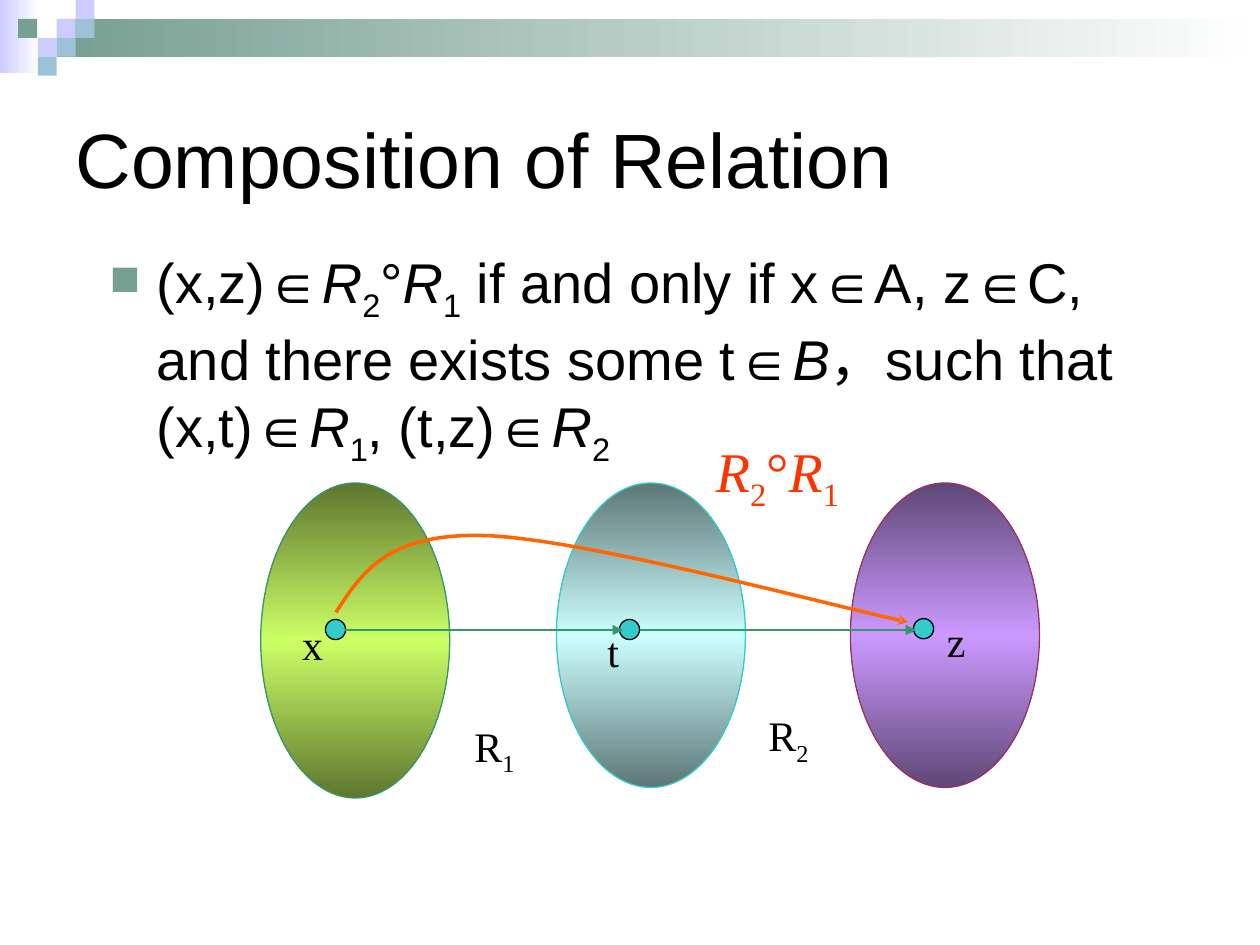
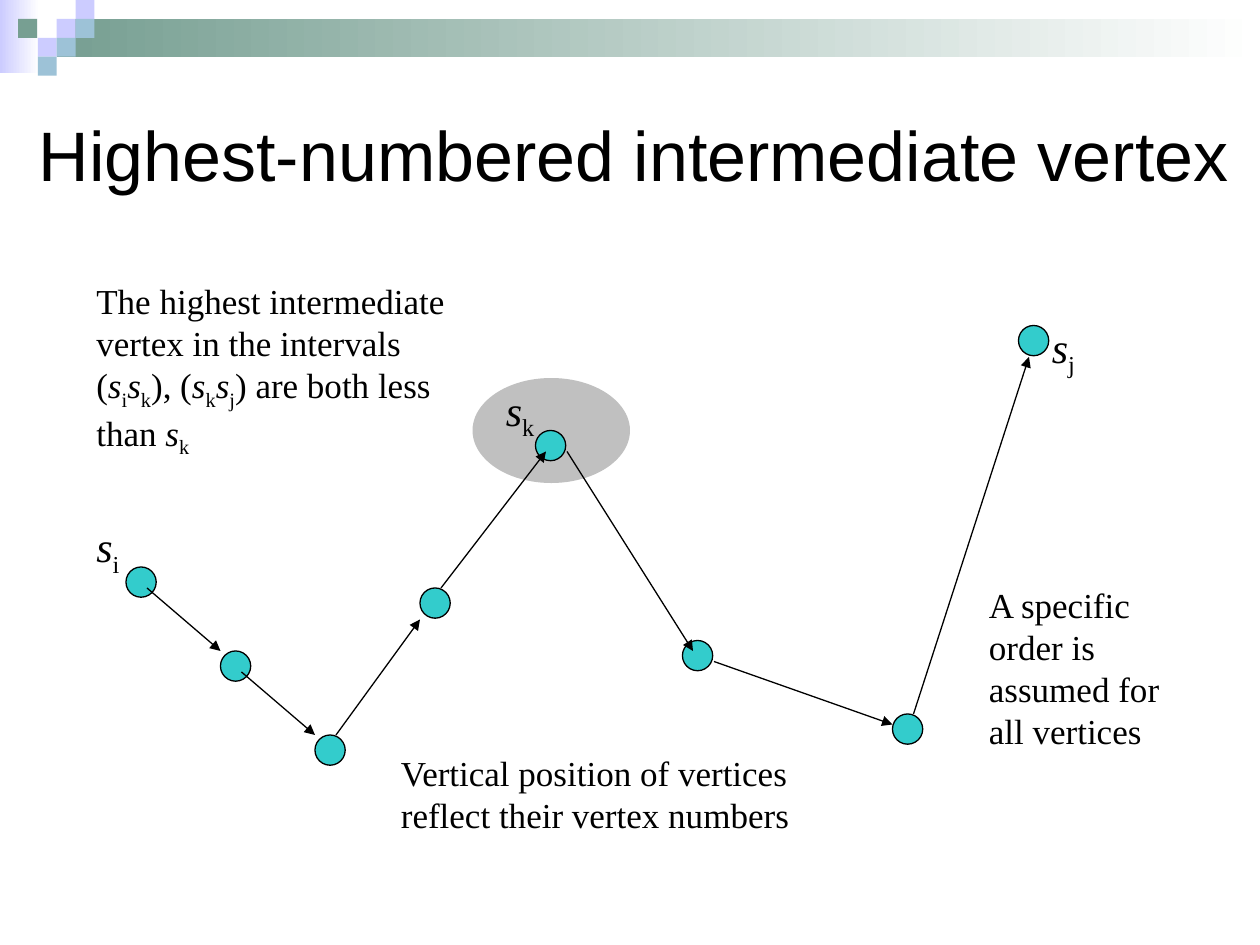
from copy import deepcopy

from pptx import Presentation
from pptx.dml.color import RGBColor
from pptx.enum.shapes import MSO_CONNECTOR as Line, MSO_SHAPE as Preset
from pptx.enum.text import MSO_ANCHOR as Anchor, PP_ALIGN as Align
from pptx.oxml.ns import qn
from pptx.oxml.xmlchemy import OxmlElement
from pptx.util import Pt

BLACK = RGBColor(0x00, 0x00, 0x00)
WHITE = RGBColor(0xFF, 0xFF, 0xFF)
SAGE = RGBColor(0x77, 0x9F, 0x92)
LAVENDER = RGBColor(0xCC, 0xCC, 0xFF)
SKY = RGBColor(0x9D, 0xC2, 0xD7)
TEAL = RGBColor(0x33, 0xCC, 0xCC)
GREEN = RGBColor(0x33, 0x99, 0x66)
PLUM = RGBColor(0x99, 0x33, 0x66)
ORANGE = RGBColor(0xFF, 0x66, 0x00)
RED = RGBColor(0xFF, 0x33, 0x00)
SILVER = RGBColor(0xC0, 0xC0, 0xC0)
OLIVE, LIME = RGBColor(0x5E, 0x76, 0x2F), RGBColor(0xCC, 0xFF, 0x66)
SLATE, ICE = RGBColor(0x5E, 0x76, 0x76), RGBColor(0xCC, 0xFF, 0xFF)
DUSK, VIOLET = RGBColor(0x5E, 0x47, 0x76), RGBColor(0xCC, 0x99, 0xFF)

SANS = "Arial"
SERIF = "Times New Roman"
TILE = 10.8
TILES = [
    (32.4, 10.8, LAVENDER), (43.2, 0, LAVENDER), (43.2, 10.8, SKY),
    (21.6, 21.6, LAVENDER), (10.4, 10.8, SAGE), (32.4, 21.6, SKY),
    (21.6, 32.4, SKY),
]


class SlideMaker:
    def __init__(self, deck):
        self.deck = deck
        self.page = None

    def start(self, title, left, top, width, height, size):
        self.page = self.deck.slides.add_slide(self.deck.slide_layouts[5])
        self.shape(Preset.RECTANGLE, 0, 0, 22.5, 42, [LAVENDER, WHITE])
        self.shape(Preset.RECTANGLE, 32.4, 10.8, 687.6, 21.6, [SAGE, WHITE])
        for x, y, color in TILES:
            self.shape(Preset.RECTANGLE, x, y, TILE, TILE, [color])
        box = self.page.shapes.title
        box.left, box.top, box.width, box.height = map(Pt, (left, top, width, height))
        box.text_frame.vertical_anchor = Anchor.MIDDLE
        self.add_spans(box.text_frame, title, size, SANS, BLACK)

    def shape(self, preset, left, top, width, height, colors, outline=None, angle=0):
        shape = self.page.shapes.add_shape(preset, *map(Pt, (left, top, width, height)))
        shape.shadow.inherit = False
        if len(colors) == 1:
            shape.fill.solid()
            shape.fill.fore_color.rgb = colors[0]
        else:
            self.blend(shape, colors, angle)
        if outline is None:
            shape.line.fill.background()
        else:
            self.stroke(shape, outline, 0.75)
        return shape

    def blend(self, shape, colors, angle):
        shape.fill.gradient()
        shape.fill.gradient_angle = angle
        stop_list = shape._element.spPr.find(".//" + qn("a:gsLst"))
        for _ in colors[2:]:
            stop_list.append(deepcopy(stop_list[0]))
        for index, (stop, color) in enumerate(zip(shape.fill.gradient_stops, colors)):
            stop.color.rgb = color
            stop.position = index / (len(colors) - 1)

    def ellipse(self, left, top, width, height, colors, outline=None):
        return self.shape(Preset.OVAL, left, top, width, height, colors, outline, 90)

    def dot(self, left, top, size):
        return self.ellipse(left, top, size, size, [TEAL], BLACK)

    def stroke(self, shape, color, weight, head=None):
        shape.line.color.rgb = color
        shape.line.width = Pt(weight)
        if head:
            tail = OxmlElement("a:tailEnd")
            tail.set("type", head)
            shape._element.spPr.find(qn("a:ln")).append(tail)

    def arrow(self, start, end, color, weight):
        arrow = self.page.shapes.add_connector(Line.STRAIGHT, *map(Pt, start + end))
        self.stroke(arrow, color, weight, "triangle")
        arrow._element.spPr.append(OxmlElement("a:effectLst"))

    def curve(self, points, color, weight):
        start, *rest = [(Pt(x), Pt(y)) for x, y in points]
        builder = self.page.shapes.build_freeform(*start)
        builder.add_line_segments(rest, close=False)
        curve = builder.convert_to_shape()
        segments = curve._element.findall(".//" + qn("a:lnTo"))
        for first in range(0, len(segments), 3):
            bezier = OxmlElement("a:cubicBezTo")
            segments[first].addprevious(bezier)
            for segment in segments[first:first + 3]:
                bezier.append(segment[0])
                segment.getparent().remove(segment)
        curve.shadow.inherit = False
        curve.fill.background()
        self.stroke(curve, color, weight, "stealth")

    def text(self, left, top, width, height, words, size=24, font=SERIF, color=BLACK):
        box = self.page.shapes.add_textbox(*map(Pt, (left, top, width, height)))
        box.text_frame.word_wrap = True
        return self.add_spans(box.text_frame, words, size, font, color)

    def add_spans(self, frame, words, size, font, color, italic="/", subscript="_"):
        para = frame.paragraphs[0]
        para.alignment = Align.LEFT
        for part, section in enumerate(words.split(subscript)):
            for piece, content in enumerate(section.split(italic)):
                if not content:
                    continue
                span = para.add_run()
                span.text = content
                span.font.name = font
                span.font.size = Pt(size)
                span.font.color.rgb = color
                span.font.italic = piece % 2 == 1
                if part % 2:
                    span.font._element.set("baseline", "-25000")
        return para

    def bullet(self, para, color, indent):
        properties = para._p.get_or_add_pPr()
        properties.set("marL", str(Pt(indent)))
        properties.set("indent", str(-Pt(indent)))
        tint = OxmlElement("a:buClr")
        value = OxmlElement("a:srgbClr")
        value.set("val", str(color))
        tint.append(value)
        scale = OxmlElement("a:buSzPct")
        scale.set("val", "75000")
        mark = OxmlElement("a:buChar")
        mark.set("char", "■")
        for element in (tint, scale, mark):
            properties.append(element)


def composition(maker):
    maker.start("Composition of Relation", 36, 36, 648, 108, 44)
    statement = maker.text(
        55.5, 138, 612, 355,
        "(x,z)∈/R/_2_°/R/_1_ if and only if x∈A, z∈C, and there exists some "
        "t∈/B/，such that (x,t)∈/R/_1_, (t,z)∈/R/_2_", 32, SANS)
    maker.bullet(statement, SAGE, 27)

    sets = [
        (149, 180, [OLIVE, LIME, OLIVE], GREEN),
        (318, 174, [SLATE, ICE, SLATE], TEAL),
        (486, 174, [DUSK, VIOLET, DUSK], PLUM),
    ]
    for left, height, colors, outline in sets:
        maker.ellipse(left, 276, 108, height, colors, outline)
    elements = [
        ("x", 186, 354, 165.6, 350), ("t", 354, 354, 340, 354),
        ("z", 522, 353.5, 534, 348),
    ]
    for name, left, top, label_left, label_top in elements:
        maker.dot(left, top, 11.5)
        maker.text(label_left, label_top, 42, 36, name)
    maker.text(264, 408, 54, 40, "R_1_")
    maker.text(432, 402, 42, 40, "R_2_")
    maker.curve([(192, 350), (206.5, 327.5), (221, 305), (275, 306),
                 (330, 307), (478, 347), (519, 355.5)], ORANGE, 2)
    for start, end in ((197, 356), (366, 523.5)):
        maker.arrow((start, 360), (end, 360), GREEN, 1.5)
    maker.text(402, 246, 114, 51, "/R/_2_°/R/_1_", 32, color=RED)


def highest_vertex(maker):
    maker.start("Highest-numbered intermediate vertex", 15, 60, 705, 55.5, 40)
    maker.ellipse(270, 216, 90, 60, [SILVER])
    vertices = [(72, 324), (126, 372), (180, 420), (240, 336),
                (306, 246), (390, 366), (510, 408), (582, 186)]
    for left, top in vertices:
        maker.dot(left, top, 17.3)
    edges = [
        ((84, 336), (126, 372)), ((138, 384), (180, 420)),
        ((192, 420), (240, 354)), ((252, 336), (312, 258)),
        ((324, 258), (396, 372)), ((408, 378), (510, 414)),
        ((522, 408), (588, 204)),
    ]
    for start, end in edges:
        maker.arrow(start, end, BLACK, 0.75)
    for index, left, top in (("k", 282, 216), ("i", 48, 294), ("j", 594, 180)):
        maker.text(left, top, 72, 40, f"/s/_{index}_")
    notes = [
        (558, 330, 126, 104, "A specific order is assumed for all vertices"),
        (222, 426, 246, 55.5,
         "Vertical position of vertices reflect their vertex numbers"),
        (48, 156, 216, 110,
         "The highest intermediate vertex in the intervals "
         "(/s/_i_/s/_k_), (/s/_k_/s/_j_) are both less than /s/_k_"),
    ]
    for left, top, width, height, words in notes:
        maker.text(left, top, width, height, words, 20)


def main():
    deck = Presentation()
    deck.slide_width, deck.slide_height = Pt(720), Pt(540)
    maker = SlideMaker(deck)
    composition(maker)
    highest_vertex(maker)
    deck.save("out.pptx")


if __name__ == "__main__":
    main()
